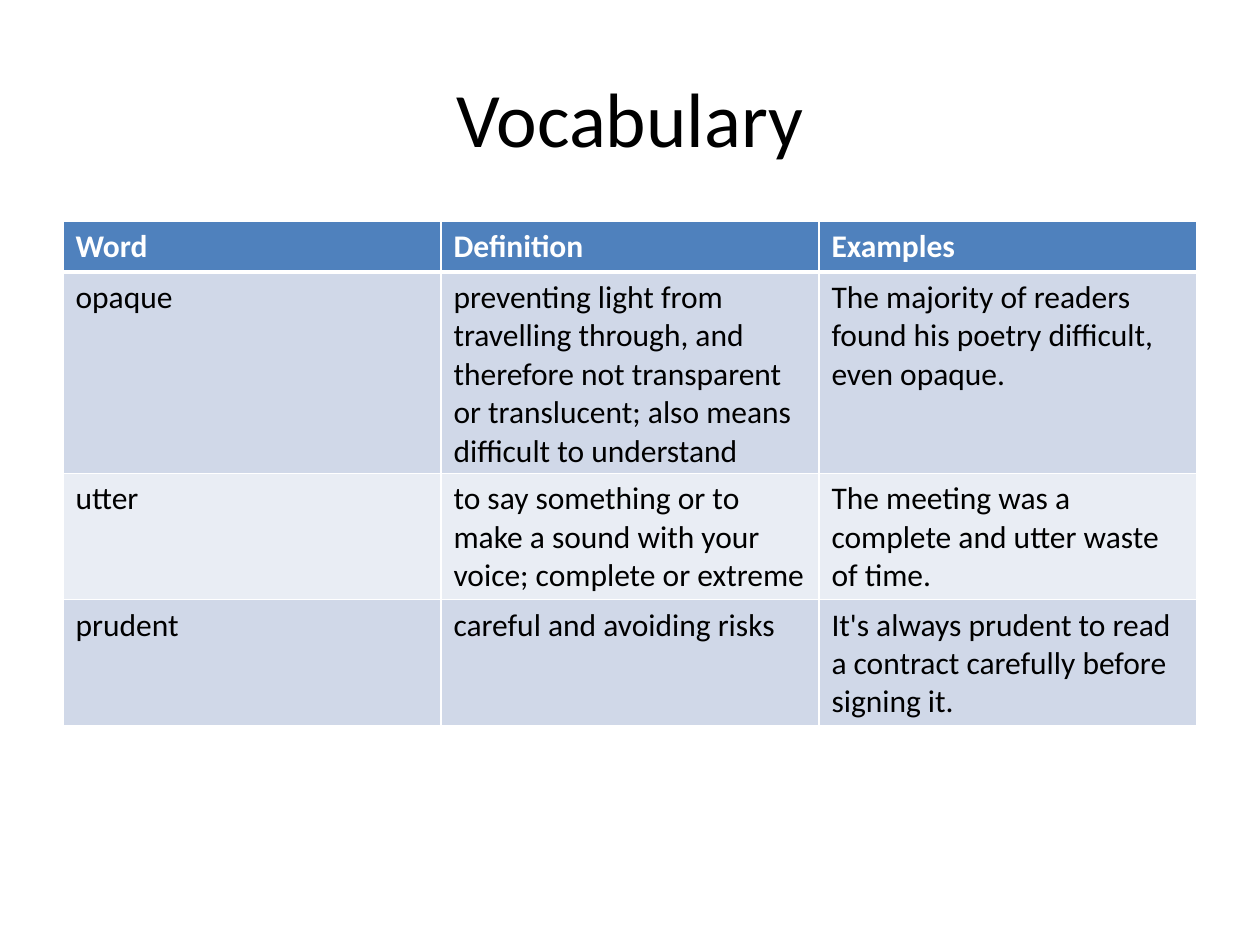
from lxml import etree
from pptx import Presentation
from pptx.dml.color import RGBColor
from pptx.enum.text import MSO_ANCHOR, PP_ALIGN
from pptx.oxml.ns import qn
from pptx.util import Pt

MIDDLE = MSO_ANCHOR.MIDDLE
CENTER, LEFT = PP_ALIGN.CENTER, PP_ALIGN.LEFT

PX = 914400 // 126
FONT = "Calibri"
BLACK = RGBColor(0x00, 0x00, 0x00)
WHITE = RGBColor(0xFF, 0xFF, 0xFF)
HEADER_BLUE = RGBColor(0x4F, 0x81, 0xBD)
BAND_DARK = RGBColor(0xD0, 0xD8, 0xE8)
BAND_LIGHT = RGBColor(0xE9, 0xED, 0xF4)

TITLE_BOX = (63, 38, 1134, 158)
TABLE_BOX = (63, 221, 1134, 505)
ROW_HEIGHT = 51
THIN, THICK = 1, 3

VOCABULARY = [
    ("Word", "Definition", "Examples"),
    ("opaque",
     "preventing light from travelling through, and therefore not transparent "
     "or translucent; also means difficult to understand",
     "The majority of readers found his poetry difficult, even opaque."),
    ("utter",
     "to say something or to make a sound with your voice; complete or extreme",
     "The meeting was a complete and utter waste of time."),
    ("prudent",
     "careful and avoiding risks",
     "It's always prudent to read a contract carefully before signing it."),
]


def px(*lengths):
    return [length * PX for length in lengths]


def write_text(frame, text, align, color, **font_format):
    paragraph = frame.paragraphs[0]
    paragraph.alignment = align
    run = paragraph.add_run()
    run.text = text
    run.font.color.rgb = color
    for name, value in {"name": FONT, **font_format}.items():
        setattr(run.font, name, value)


def add_title(slide, text):
    frame = slide.shapes.add_textbox(*px(*TITLE_BOX)).text_frame
    frame.word_wrap = True
    frame.vertical_anchor = MIDDLE
    write_text(frame, text, CENTER, BLACK, size=Pt(44))


def set_borders(cell, widths):
    properties = cell._tc.get_or_add_tcPr()
    for side, width in widths.items():
        line = etree.SubElement(properties, qn(f"a:ln{side}"), w=str(Pt(width)))
        fill = etree.SubElement(line, qn("a:solidFill"))
        etree.SubElement(fill, qn("a:srgbClr"), val=str(WHITE))


def format_cell(cell, text, row_index):
    is_header = row_index == 0
    # Borders, with a thick rule under the header
    set_borders(cell, {
        "L": THIN,
        "R": THIN,
        "T": THICK if row_index == 1 else THIN,
        "B": THICK if is_header else THIN,
    })
    # Header and banded fills
    band = BAND_DARK if row_index % 2 else BAND_LIGHT
    cell.fill.solid()
    cell.fill.fore_color.rgb = HEADER_BLUE if is_header else band
    write_text(cell.text_frame, text, LEFT, WHITE if is_header else BLACK,
               size=Pt(18), bold=is_header)


def add_vocabulary_table(slide, rows):
    frame = slide.shapes.add_table(len(rows), len(rows[0]), *px(*TABLE_BOX))
    for row_index, (row, texts) in enumerate(zip(frame.table.rows, rows)):
        # Rows grow from this minimum to fit their text
        row.height = ROW_HEIGHT * PX
        for cell, text in zip(row.cells, texts):
            format_cell(cell, text, row_index)
    frame.height = TABLE_BOX[3] * PX


def main():
    deck = Presentation()
    deck.slide_width, deck.slide_height = px(1260, 945)
    slide = deck.slides.add_slide(deck.slide_layouts[6])
    add_title(slide, "Vocabulary")
    add_vocabulary_table(slide, VOCABULARY)
    deck.save("out.pptx")


main()
